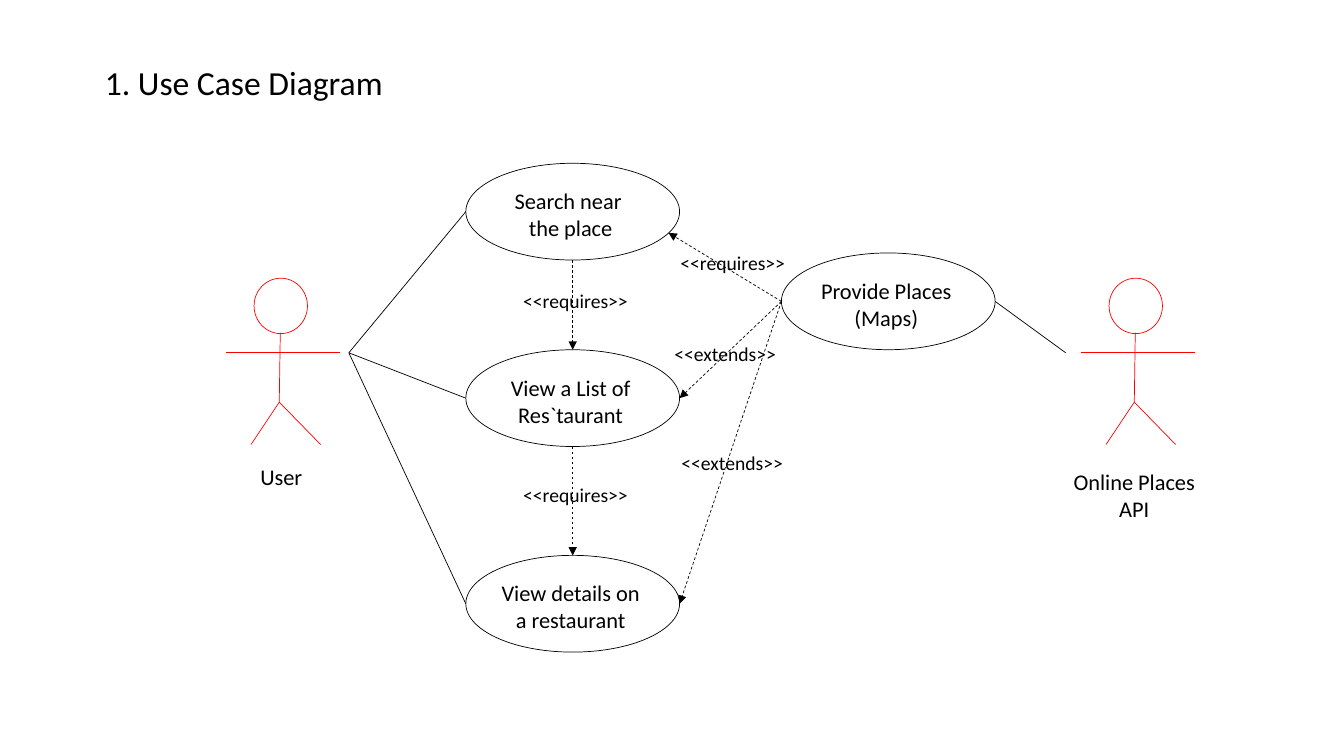
from lxml.etree import SubElement
from pptx import Presentation
from pptx.dml.color import RGBColor
from pptx.enum.dml import MSO_LINE
from pptx.enum.shapes import MSO_CONNECTOR, MSO_SHAPE
from pptx.enum.text import MSO_ANCHOR, MSO_AUTO_SIZE, PP_ALIGN
from pptx.oxml.ns import qn
from pptx.util import Inches, Pt

COLOURS = {"ink": "000000", "actor": "FF0000"}
OVAL_WIDTH, OVAL_HEIGHT = 2.12, 0.96


class Diagram:
    font = "Calibri"
    line_width = 0.5

    def __init__(self, page):
        self.page = page

    def apply(self, target, formats):
        for name, value in formats.items():
            setattr(target, name, value)

    def outline(self, line, colour):
        line.color.rgb = RGBColor.from_string(COLOURS[colour])
        line.width = Pt(self.line_width)

    def set_text(self, box, text, size, align, wrap):
        frame = box.text_frame
        self.apply(frame, {"text": text, "word_wrap": wrap,
                           "vertical_anchor": MSO_ANCHOR.TOP,
                           "auto_size": MSO_AUTO_SIZE.SHAPE_TO_FIT_TEXT})
        for para in frame.paragraphs:
            para.alignment = align
            for span in para.runs:
                self.apply(span.font, {"name": self.font, "size": Pt(size)})
                span.font.color.rgb = RGBColor.from_string(COLOURS["ink"])

    def title(self, text, left, top, width, height):
        box = self.page.shapes.title
        self.apply(box, {"left": Inches(left), "top": Inches(top),
                         "width": Inches(width), "height": Inches(height)})
        self.set_text(box, text, 24, PP_ALIGN.LEFT, False)

    def text(self, text, left, top, width, height, size=16,
             align=PP_ALIGN.CENTER, wrap=True):
        box = self.page.shapes.add_textbox(*map(Inches, (left, top, width, height)))
        self.set_text(box, text, size, align, wrap)

    def relation(self, text, left, top, width):
        self.text(text, left, top, width, 0.34, 14, PP_ALIGN.LEFT, False)

    def oval(self, left, top, width, height, colour="ink", shapes=None):
        shapes = shapes or self.page.shapes
        oval = shapes.add_shape(MSO_SHAPE.OVAL,
                                *map(Inches, (left, top, width, height)))
        oval.shadow.inherit = False
        oval.fill.background()
        self.outline(oval.line, colour)

    def line(self, start, end, colour="ink", shapes=None):
        shapes = self.page.shapes if shapes is None else shapes
        line = shapes.add_connector(MSO_CONNECTOR.STRAIGHT,
                                    *map(Inches, (*start, *end)))
        self.outline(line.line, colour)
        SubElement(line._element.spPr, qn("a:effectLst"))
        return line

    def arrow(self, start, end):
        arrow = self.line(start, end)
        arrow.line.dash_style = MSO_LINE.DASH
        SubElement(arrow._element.spPr.find(qn("a:ln")), qn("a:tailEnd"),
                   type="triangle")

    def use_case(self, text, left, top):
        self.oval(left, top, OVAL_WIDTH, OVAL_HEIGHT)
        self.text(text, left + 0.24, top + 0.19, 1.6, 0.64)

    def actor(self, left):
        figure = self.page.shapes.add_group_shape().shapes
        neck, hip = (left + 0.54, 3.3), (left + 0.53, 3.99)
        limbs = [((left, 3.5), (left + 1.13, 3.5)), (neck, hip),
                 (hip, (left + 0.94, 4.41)), (hip, (left + 0.25, 4.41))]
        for start, end in limbs:
            self.line(start, end, "actor", figure)
        self.oval(left + 0.28, 2.76, 0.53, 0.55, "actor", figure)


def main():
    deck = Presentation()
    deck.slide_width, deck.slide_height = Inches(13.33), Inches(7.5)
    diagram = Diagram(deck.slides.add_slide(deck.slide_layouts[5]))
    diagram.title("1. Use Case Diagram", 0.94, 0.56, 2.98, 0.5)

    for left in (2.24, 10.72):
        diagram.actor(left)
    diagram.text("User", 1.99, 4.55, 1.6, 0.37)
    diagram.text("Online Places API", 10.45, 4.6, 1.6, 0.64)

    column, maps_left, maps_top = 4.62, 7.75, 2.51
    search, listing, details = 1.62, 3.47, 5.51
    diagram.use_case("Search near \vthe place", column, search)
    diagram.use_case("View a List of Res`taurant", column, listing)
    diagram.use_case("View details on a restaurant", column, details)
    diagram.use_case("Provide Places\v(Maps)", maps_left, maps_top)

    middle, right = column + OVAL_WIDTH / 2, column + OVAL_WIDTH
    half = OVAL_HEIGHT / 2
    for upper, lower in ((search, listing), (listing, details)):
        diagram.arrow((middle, upper + OVAL_HEIGHT), (middle, lower))

    maps = (maps_left, maps_top + half)
    for target in ((6.63, 2.31), (right, listing + half), (right, details + half)):
        diagram.arrow(maps, target)

    for top in (search, listing, details):
        diagram.line((3.46, 3.5), (column, top + half))
    diagram.line((maps_left + OVAL_WIDTH, maps_top + half), (10.57, 3.5))

    for left, top in ((5.09, 2.82), (5.09, 4.74), (6.65, 2.44)):
        diagram.relation("<<requires>>", left, top, 1.25)
    for left, top in ((6.59, 3.34), (6.66, 4.42)):
        diagram.relation("<<extends>>", left, top, 1.22)

    deck.save("out.pptx")


if __name__ == "__main__":
    main()
